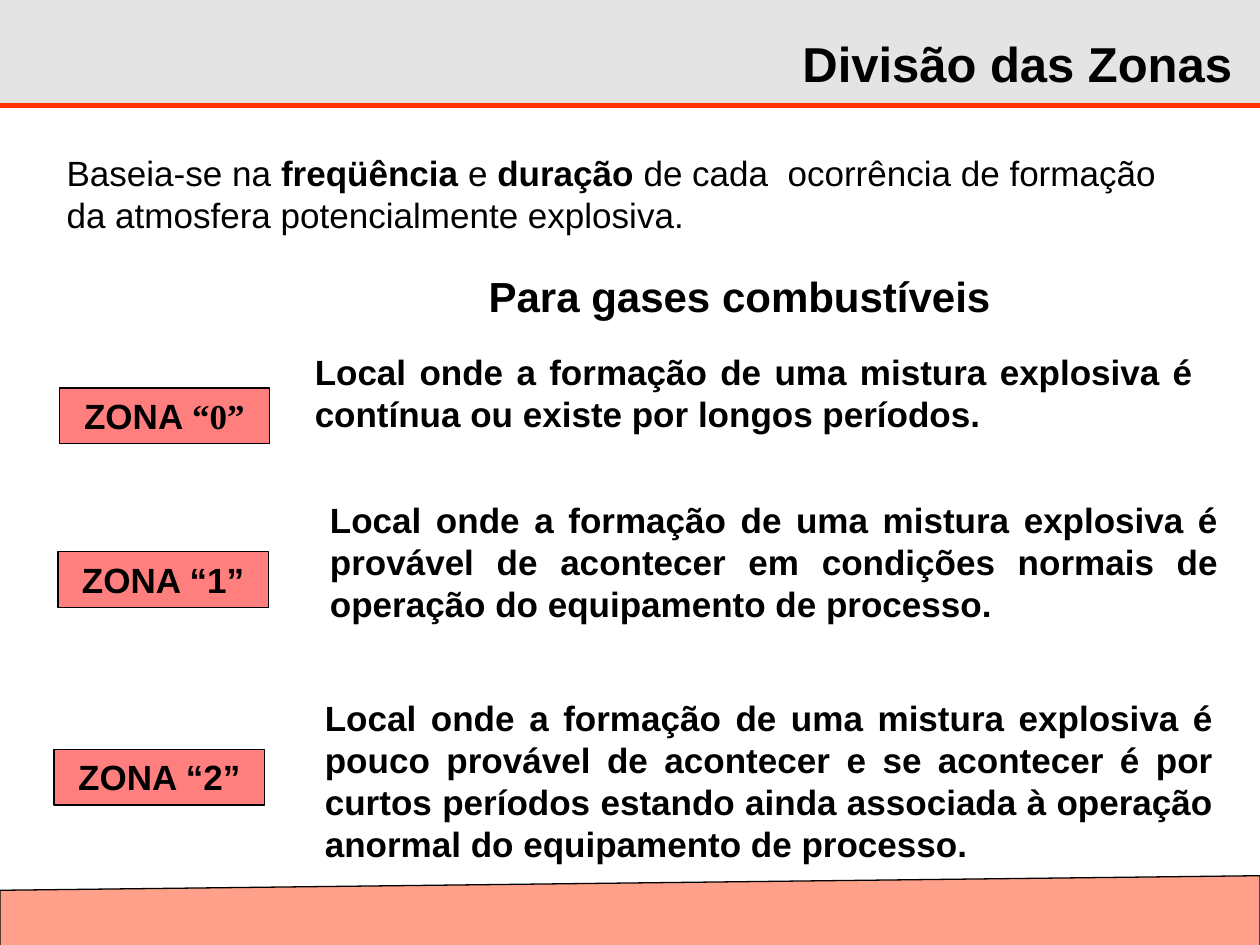
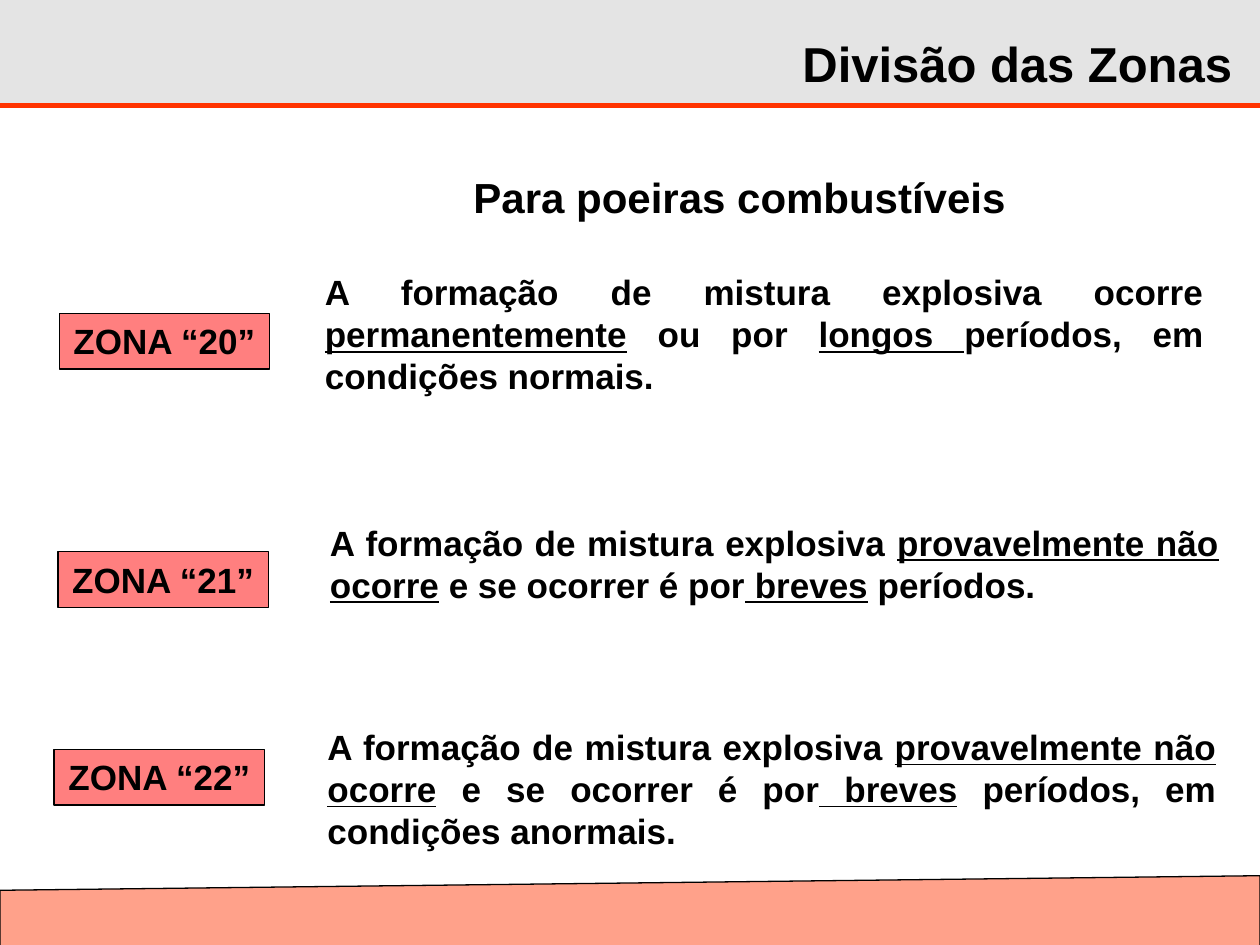
"""Builds two pages that describe the hazardous zones for gases and dusts."""
from dataclasses import dataclass

import lxml.etree
import pptx
import pptx.dml.color
import pptx.enum.shapes
import pptx.enum.text
import pptx.oxml.ns
import pptx.util

Pt = pptx.util.Pt
Align = pptx.enum.text.PP_ALIGN
Shape = pptx.enum.shapes.MSO_SHAPE


@dataclass(frozen=True)
class Theme:
    """Colours, fonts and type sizes of the deck."""
    ink: str = "000000"
    band: str = "C0C0C0"
    accent: str = "FF3300"
    tag: str = "FF0000"
    font: str = "Arial"
    serif: str = "Times New Roman"
    title_size: int = 28
    heading_size: int = 24
    body_size: int = 20


@dataclass(frozen=True)
class Box:
    """A rectangle in points."""
    left: float
    top: float
    width: float
    height: float


@dataclass(frozen=True)
class Zone:
    """One zone: its row, the offsets of its parts, and its wording."""
    row: Box
    indent: float
    tag_drop: float
    label: list
    description: list


THEME = Theme()
PAGE = Box(0, 0, 720, 540)
BAND_HEIGHT = 60.48
TAG_WIDTH, TAG_HEIGHT = 120.24, 31.68
UNDER = {"underline": True}
BOLD = {"bold": True}
RARELY = [("A formação de mistura explosiva ", {}), ("provavelmente não ocorre", UNDER),
          (" e se ocorrer é por", {}), (" breves", UNDER)]


def colour(value):
    """Return an RGB colour from its hex value."""
    return pptx.dml.color.RGBColor.from_string(value)


def place(box):
    """Return the lengths of a box in the order that shapes expect."""
    return Pt(box.left), Pt(box.top), Pt(box.width), Pt(box.height)


def write(shape, spans, size=THEME.body_size, bold=True, align=Align.LEFT, wrap=True):
    """Write formatted spans into a shape as one paragraph."""
    frame = shape.text_frame
    frame.word_wrap = wrap
    frame.vertical_anchor = pptx.enum.text.MSO_ANCHOR.TOP
    para = frame.paragraphs[0]
    para.alignment = align
    for text, style in spans:
        span = para.add_run()
        span.text = text
        span.font.size = Pt(size)
        span.font.color.rgb = colour(THEME.ink)
        span.font.name = style.get("font", THEME.font)
        span.font.bold = style.get("bold", bold)
        span.font.underline = style.get("underline", False)


def add_text(page, box, spans, **style):
    """Add a text box with formatted spans."""
    write(page.shapes.add_textbox(*place(box)), spans, **style)


def add_panel(page, kind, box, fill, opacity, outlined=True):
    """Add a translucent shape and return it."""
    panel = page.shapes.add_shape(kind, *place(box))
    panel.shadow.inherit = False
    panel.fill.solid()
    panel.fill.fore_color.rgb = colour(fill)
    tint = panel.fill._xPr.find(".//" + pptx.oxml.ns.qn("a:srgbClr"))
    lxml.etree.SubElement(tint, pptx.oxml.ns.qn("a:alpha"), val=str(opacity * 1000))
    if outlined:
        panel.line.color.rgb = colour(THEME.ink)
        panel.line.width = Pt(0.75)
    else:
        panel.line.fill.background()
    return panel


def add_header(page, box):
    """Add the title band, its rule and the title."""
    bottom = box.top + box.height
    right = box.left + box.width
    add_panel(page, Shape.RECTANGLE, box, THEME.band, 42, outlined=False)
    rule = page.shapes.add_connector(pptx.enum.shapes.MSO_CONNECTOR.STRAIGHT,
                                     Pt(box.left), Pt(bottom), Pt(right), Pt(bottom))
    rule.line.color.rgb = colour(THEME.accent)
    rule.line.width = Pt(3)
    lxml.etree.SubElement(rule._element.spPr, pptx.oxml.ns.qn("a:effectLst"))
    title = Box(right - 268.56, box.top + 15.84, 259.92, 41.04)
    add_text(page, title, [("Divisão das Zonas", {})], size=THEME.title_size, wrap=False)


def add_footer(page, box):
    """Add the slanted band at the foot of the page."""
    add_panel(page, Shape.FLOWCHART_MANUAL_INPUT, box, THEME.accent, 46)


def add_zone(page, zone):
    """Add the tag and the description of a zone inside its row."""
    row = zone.row
    text = Box(row.left + zone.indent, row.top, row.width - zone.indent, row.height)
    add_text(page, text, zone.description, align=Align.JUSTIFY)
    tag = Box(row.left, row.top + zone.tag_drop, TAG_WIDTH, TAG_HEIGHT)
    write(add_panel(page, Shape.RECTANGLE, tag, THEME.tag, 50), zone.label, align=Align.CENTER)


def add_zone_page(deck, heading, heading_top, zones):
    """Add a page with a heading and its zones, and return it."""
    page = deck.slides.add_slide(deck.slide_layouts[6])
    add_header(page, Box(PAGE.left, PAGE.top, PAGE.width, BAND_HEIGHT))
    add_footer(page, Box(PAGE.left, 500.4, PAGE.width, 41.76))
    add_text(page, Box(190.08, heading_top, 465.12, 36), [(heading, {})],
             size=THEME.heading_size, align=Align.CENTER)
    for zone in zones:
        add_zone(page, zone)
    return page


GAS_ZONES = [
    Zone(Box(33.84, 196.56, 655.2, 55.44), 138.96, 25.2,
         [("ZONA", {}), (" “0”", {"font": THEME.serif})],
         [("Local onde a formação de uma mistura explosiva é contínua ou existe "
           "por longos períodos.", {})]),
    Zone(Box(33.12, 281.52, 670.32, 79.2), 148.32, 33.84, [("ZONA “1”", {})],
         [("Local onde a formação de uma mistura explosiva é provável de acontecer "
           "em condições normais de operação do equipamento de processo.", {})]),
    Zone(Box(30.96, 394.56, 669.6, 103.68), 147.6, 33.84, [("ZONA “2”", {})],
         [("Local onde a formação de uma mistura explosiva é pouco provável de acontecer "
           "e se acontecer é por curtos períodos estando ainda associada à operação "
           "anormal do equipamento de processo.", {})]),
]
DUST_ZONES = [
    Zone(Box(33.84, 151.2, 660.96, 79.2), 144.72, 28.08, [("ZONA “20”", {})],
         [("A formação de mistura explosiva ocorre ", {}), ("permanentemente", UNDER),
          (" ou por ", {}), ("longos ", UNDER), ("períodos, em condições normais.", {})]),
    Zone(Box(33.12, 294.48, 670.32, 55.44), 148.32, 20.88, [("ZONA “21”", {})],
         RARELY + [(" períodos.", {})]),
    Zone(Box(30.96, 411.12, 671.04, 79.2), 149.04, 17.28, [("ZONA “22”", {})],
         RARELY + [(" períodos, em condições anormais.", {})]),
]
INTRODUCTION = [
    ("Baseia-se na ", {}), ("freqüência", BOLD), (" e ", {}), ("duração ", BOLD),
    ("de cada  ocorrência de formação da atmosfera potencialmente explosiva.", {}),
]


def main():
    """Build the deck and save it."""
    deck = pptx.Presentation()
    deck.slide_width, deck.slide_height = Pt(PAGE.width), Pt(PAGE.height)
    gases = add_zone_page(deck, "Para gases combustíveis", 151.2, GAS_ZONES)
    add_text(gases, Box(30.96, 82.8, 663.12, 55.44), INTRODUCTION, bold=False)
    add_zone_page(deck, "Para poeiras combustíveis", 94.32, DUST_ZONES)
    deck.save("out.pptx")


if __name__ == "__main__":
    main()
